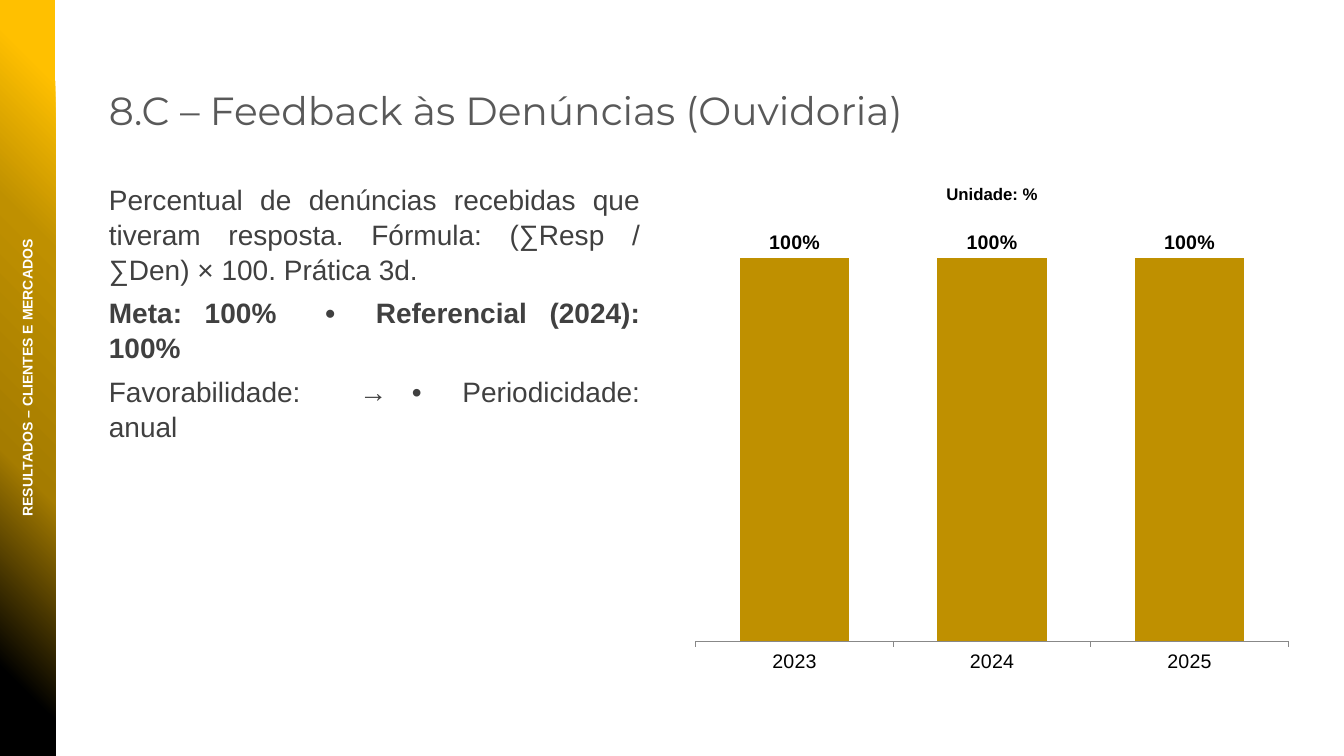
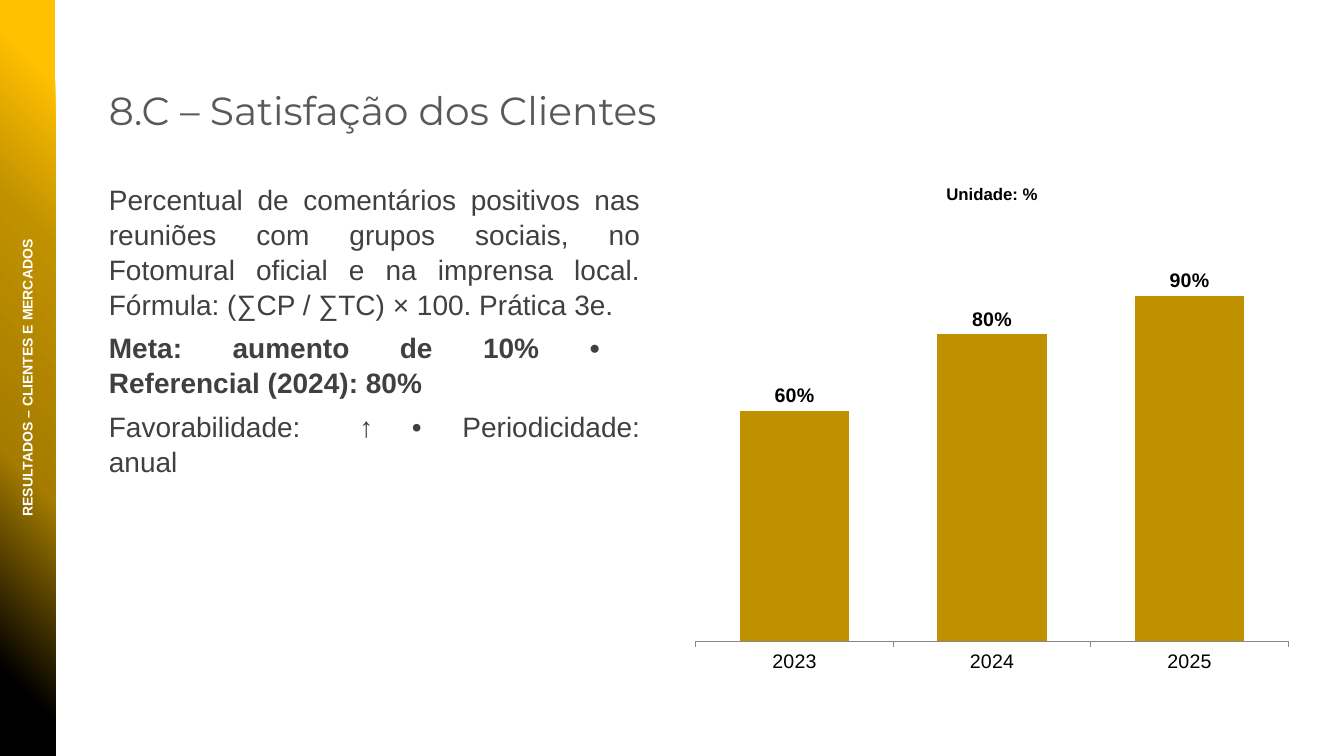
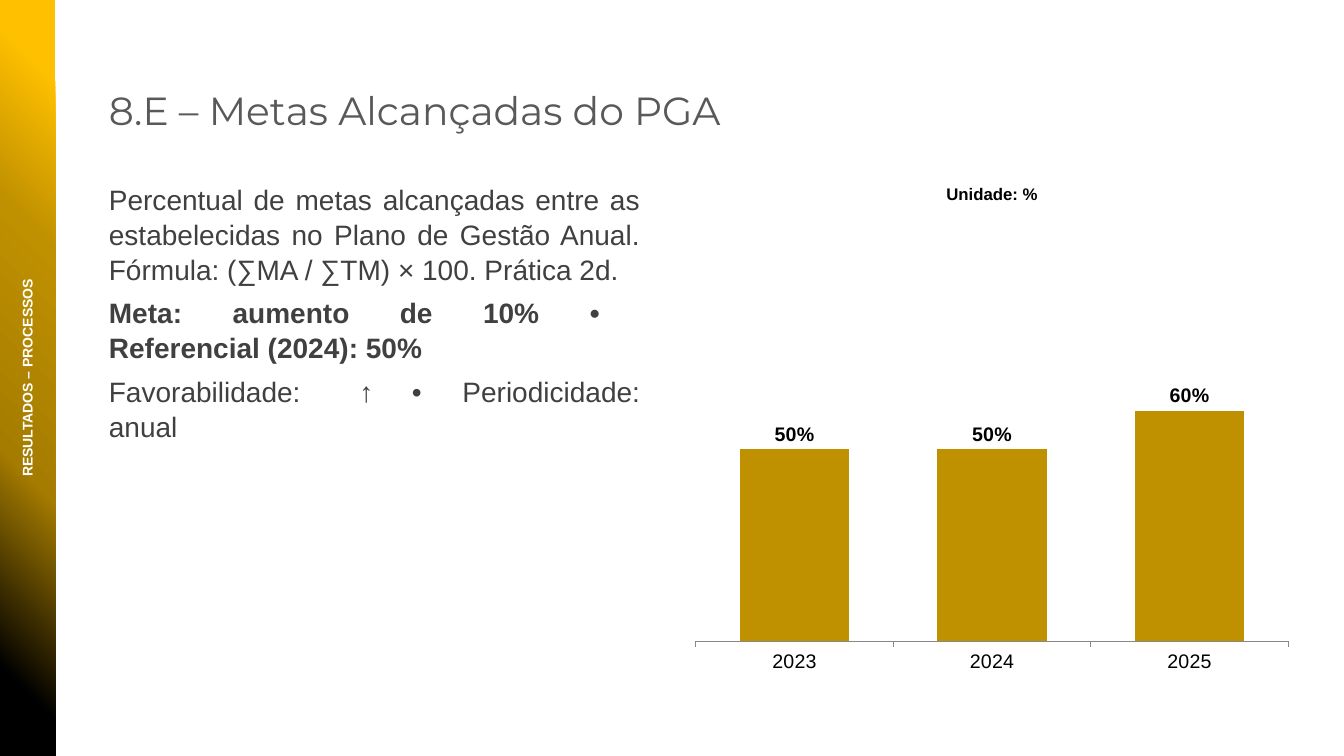
from dataclasses import dataclass

from lxml import etree
from pptx import Presentation
from pptx.chart.data import CategoryChartData
from pptx.dml.color import RGBColor
from pptx.enum import chart as ch
from pptx.enum import shapes as sh
from pptx.enum import text as tx
from pptx.oxml import parse_xml
from pptx.oxml.ns import nsdecls, qn
from pptx.util import Inches, Pt

HEX = {
    "title": "595959",
    "body": "404040",
    "white": "FFFFFF",
    "black": "000000",
    "bronze": "A57C00",
    "gold": "BF9000",
    "amber": "FFC000",
    "axis": "888888",
}
STOPS = [(0, "black"), (11, "black"), (38, "bronze"),
         (69, "gold"), (90, "amber"), (100, "amber")]
YEARS = ["2023", "2024", "2025"]


@dataclass
class Line:
    text: str
    bold: bool = False
    tabs: tuple[float, ...] = ()  # stops in inches


@dataclass
class Page:
    area: str
    title: str
    lines: list[Line]
    vals: list[int]


def color(name: str) -> RGBColor:
    return RGBColor.from_string(HEX[name])


def style(font, name: str, size: float, tone: str, bold: bool = False) -> None:
    font.name, font.size, font.bold = name, Pt(size), bold
    font.color.rgb = color(tone)


def place(shape, left: float, top: float, width: float, height: float) -> None:
    shape.left, shape.top = Inches(left), Inches(top)
    shape.width, shape.height = Inches(width), Inches(height)


def add_band(slide, area: str) -> None:
    """Gradient band on the left edge with its upright label."""
    band = slide.shapes.add_shape(
        sh.MSO_SHAPE.RECTANGLE, 0, 0, Inches(0.55), Inches(7.5))
    band.shadow.inherit = False
    band.line.fill.background()
    band.fill.gradient()
    stops = "".join(
        f'<a:gs pos="{pos * 1000}"><a:srgbClr val="{HEX[name]}"/></a:gs>'
        for pos, name in STOPS)
    grad = parse_xml(
        f'<a:gradFill {nsdecls("a")} rotWithShape="1"><a:gsLst>{stops}</a:gsLst>'
        '<a:path path="circle"><a:fillToRect t="100000" r="100000"/></a:path>'
        '</a:gradFill>')
    props = band.element.spPr
    props.replace(props.find(qn("a:gradFill")), grad)

    label = slide.shapes.add_textbox(0, 0, 0, 0)
    place(label, -2.66, 3.61, 5.87, 0.28)
    label.rotation = 270
    frame = label.text_frame
    frame.word_wrap = True
    para = frame.paragraphs[0]
    para.text = area
    para.alignment = tx.PP_ALIGN.CENTER
    style(para.font, "Arial", 10, "white", True)


def add_title(slide, title: str) -> None:
    frame = slide.shapes.title.text_frame
    frame.text = title
    frame.vertical_anchor = tx.MSO_ANCHOR.TOP
    frame.auto_size = tx.MSO_AUTO_SIZE.NONE
    para = frame.paragraphs[0]
    para.alignment = tx.PP_ALIGN.LEFT
    style(para.font, "Montserrat", 28, "title")


def add_body(slide, lines: list[Line]) -> None:
    frame = slide.placeholders[1].text_frame
    frame.auto_size = tx.MSO_AUTO_SIZE.NONE
    for num, line in enumerate(lines):
        para = frame.add_paragraph() if num else frame.paragraphs[0]
        para.text = line.text
        para.alignment = tx.PP_ALIGN.JUSTIFY
        para.line_spacing = 1.04
        para.space_before, para.space_after = Pt(0), Pt(6)
        # No bullet or indent, own tab stops
        props = para._p.get_or_add_pPr()
        props.set("marL", "0")
        props.set("indent", "0")
        etree.SubElement(props, qn("a:buNone"))
        if line.tabs:
            tabs = etree.SubElement(props, qn("a:tabLst"))
            for stop in line.tabs:
                etree.SubElement(tabs, qn("a:tab"),
                                 pos=str(Inches(stop)), algn="l")
        style(para.font, "Arial", 20, "body", line.bold)


def add_bars(slide, vals: list[int]) -> None:
    data = CategoryChartData()
    data.categories = YEARS
    data.add_series("Series 1", vals)
    chart = slide.shapes.add_chart(
        ch.XL_CHART_TYPE.COLUMN_CLUSTERED, Inches(6.78), Inches(1.64),
        Inches(6.12), Inches(5.14), data).chart
    style(chart.font, "Arial", 18, "black")
    chart.has_legend = False
    chart.has_title = True
    head = chart.chart_title.text_frame
    head.text = "Unidade: %"
    style(head.paragraphs[0].font, "Arial", 12, "black", True)

    # Axes
    cat, val = chart.category_axis, chart.value_axis
    cat.major_tick_mark = ch.XL_TICK_MARK.OUTSIDE
    style(cat.tick_labels.font, "Arial", 14, "black")
    cat.format.line.color.rgb = color("axis")
    val.visible = val.has_major_gridlines = False
    val.minimum_scale, val.maximum_scale = 0, 110

    # Columns and their labels
    plot = chart.plots[0]
    plot.gap_width = 80
    plot.vary_by_categories = False
    fill = plot.series[0].format.fill
    fill.solid()
    fill.fore_color.rgb = color("gold")
    plot.has_data_labels = True
    tags = plot.data_labels
    tags.show_value = True
    tags.position = ch.XL_LABEL_POSITION.OUTSIDE_END
    tags.number_format, tags.number_format_is_linked = '0"%"', False
    style(tags.font, "Arial", 14, "black", True)


CLIENTS = "RESULTADOS – CLIENTES E MERCADOS"
RISE = Line("Favorabilidade: ↑\t•\tPeriodicidade: anual", tabs=(2.35, 2.67))
WIDE = (3.4, 3.7)

PAGES = [
    Page(CLIENTS, "8.C – Feedback às Denúncias (Ouvidoria)", [
        Line("Percentual de denúncias recebidas que tiveram resposta. "
             "Fórmula: (∑Resp / ∑Den) × 100. Prática 3d."),
        Line("Meta: 100%\t•\tReferencial (2024): 100%", True, (1.67, 1.92)),
        Line("Favorabilidade: →\t•\tPeriodicidade: anual", tabs=(2.88, 3.48)),
    ], [100, 100, 100]),
    Page(CLIENTS, "8.C – Satisfação dos Clientes", [
        Line("Percentual de comentários positivos nas reuniões com grupos "
             "sociais, no Fotomural oficial e na imprensa local. "
             "Fórmula: (∑CP / ∑TC) × 100. Prática 3e."),
        Line("Meta: aumento de 10%\t•\tReferencial (2024): 80%", True, WIDE),
        RISE,
    ], [60, 80, 90]),
    Page("RESULTADOS – PROCESSOS", "8.E – Metas Alcançadas do PGA", [
        Line("Percentual de metas alcançadas entre as estabelecidas no Plano "
             "de Gestão Anual. Fórmula: (∑MA / ∑TM) × 100. Prática 2d."),
        Line("Meta: aumento de 10%\t•\tReferencial (2024): 50%", True, WIDE),
        RISE,
    ], [50, 50, 60]),
]


def main() -> None:
    deck = Presentation()
    deck.slide_width, deck.slide_height = Inches(13.33), Inches(7.5)

    # Shared places of title and body
    layout = deck.slide_layouts[1]
    title, body = list(layout.placeholders)[:2]
    place(title, 0.98, 0.81, 12.21, 0.57)
    place(body, 0.98, 1.75, 5.47, 5.03)

    for page in PAGES:
        slide = deck.slides.add_slide(layout)
        add_band(slide, page.area)
        add_title(slide, page.title)
        add_body(slide, page.lines)
        add_bars(slide, page.vals)
    deck.save("out.pptx")


if __name__ == "__main__":
    main()
